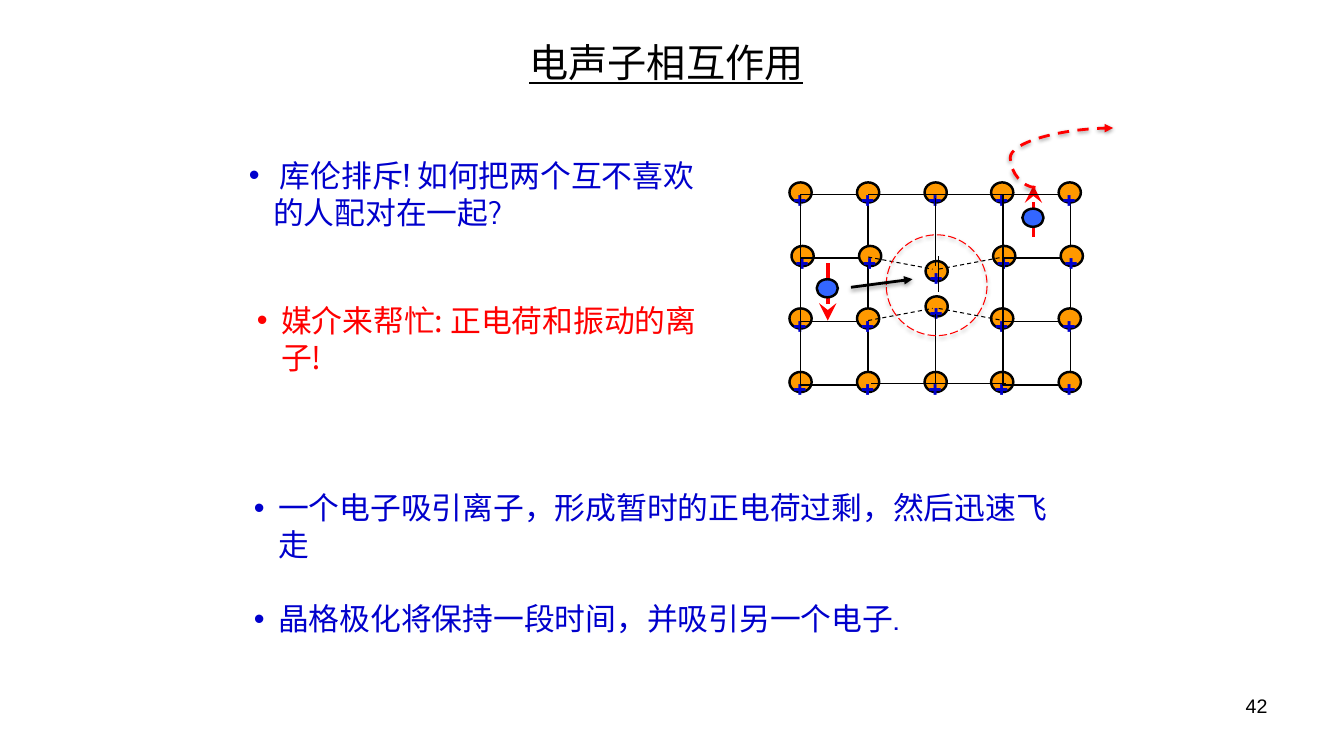
from dataclasses import dataclass
from typing import Any, Optional

from lxml.etree import SubElement
from pptx import Presentation
from pptx.dml.color import RGBColor
from pptx.enum.dml import MSO_LINE
from pptx.enum.shapes import MSO_CONNECTOR, MSO_SHAPE
from pptx.enum.text import MSO_ANCHOR, MSO_AUTO_SIZE, PP_ALIGN
from pptx.oxml.ns import qn
from pptx.util import Emu, Pt

SCALE = 9144  # EMU per px, 100 px to the inch
COLORS = {"black": "000000", "red": "FF0000", "blue": "0000CC",
          "ion": "FF9900", "charge": "3366FF"}
HAN = "Noto Sans CJK SC"
PITCH = Pt(26.4)
HANG = 24

COLS = (783, 850, 917, 983, 1050)
ROWS = (181, 244, 306, 369)
SHIFT = 2  # the second row sits slightly to the right
PULLED = {(2, 1): (918, 259), (2, 2): (918, 294)}  # ions drawn together
CELLS = {0: 794, 3: 995}  # column: left edge of the cells drawn over it
CELL = (67, 63)


@dataclass
class Note:
    box: tuple[int, int, int, int]
    color: str
    font: str
    items: tuple[str, ...]


@dataclass
class Line:
    start: tuple[int, int]
    end: tuple[int, int]
    width: float = 0.75
    color: str = "black"
    dash: Optional[MSO_LINE] = None
    head: str = ""
    size: str = "med"
    glow: bool = False
    bend: Optional[int] = None


NOTES = (
    Note((245, 291, 478, 84), "red", HAN, ("媒介来帮忙: 正电荷和振动的离子!",)),
    Note((242, 495, 829, 121), "blue", "Cabin",
         ("一个电子吸引离子，形成暂时的正电荷过剩，然后迅速飞走",
          "晶格极化将保持一段时间，并吸引另一个电子.")),
    Note((237, 147, 462, 84), "blue", "Cabin",
         (" 库伦排斥! 如何把两个互不喜欢的人配对在一起?",)),
)
SPINS = (
    Line((1025, 235), (1025, 184), 2.5, "red", head="stealth", size="lg"),
    Line((821, 261), (821, 318), 2.5, "red", head="stealth", size="lg"),
)
BONDS = (
    Line((861, 193), (995, 193)),
    Line((928, 196), (928, 264)),
    Line((861, 255), (925, 267), dash=MSO_LINE.DASH),
    Line((864, 380), (998, 380)),
    Line((861, 318), (925, 306), dash=MSO_LINE.DASH),
    Line((931, 267), (995, 255), dash=MSO_LINE.DASH),
    Line((931, 306), (995, 318), dash=MSO_LINE.DASH),
    Line((928, 312), (928, 380)),
    Line((931, 254), (931, 290)),
)
MOVES = (
    Line((844, 285), (905, 277), 2, head="triangle", glow=True),
    Line((1027, 186), (1104, 127), 2, "red", MSO_LINE.DASH, "triangle",
         glow=True, bend=-32500),
)


def px(*nums: int) -> list[Emu]:
    return [Emu(n * SCALE) for n in nums]


def rgb(name: str) -> RGBColor:
    return RGBColor.from_string(COLORS[name])


def shade(effect: Any, alpha: int, dist: float) -> None:
    """Put a soft shadow below the shape that owns the effect list."""
    outer = SubElement(effect, qn("a:outerShdw"), blurRad=str(Pt(3.1)),
                       dist=str(Pt(dist)), dir="5400000", rotWithShape="0")
    color = SubElement(outer, qn("a:srgbClr"), val=COLORS["black"])
    SubElement(color, qn("a:alpha"), val=str(alpha * 1000))


def style(para: Any, size: int, color: str, latin: str, asian: str = "") -> None:
    font = para.font
    font.size, font.name = Pt(size), latin
    font.color.rgb = rgb(color)
    if asian:
        props = para._p.get_or_add_pPr().find(qn("a:defRPr"))
        SubElement(props, qn("a:ea"), typeface=asian)


def label(shapes: Any, box: tuple[int, ...], text: str, align: PP_ALIGN,
          wrap: bool = True) -> Any:
    """Add a one-line text box and return its frame."""
    frame = shapes.add_textbox(*px(*box)).text_frame
    frame.word_wrap = wrap
    frame.text = text
    frame.paragraphs[0].alignment = align
    return frame


def outline(shapes: Any, kind: MSO_SHAPE, box: tuple[int, ...], width: float,
            fill: str = "", color: str = "black") -> Any:
    shape = shapes.add_shape(kind, *px(*box))
    shape.shadow.inherit = False
    if fill:
        shape.fill.solid()
        shape.fill.fore_color.rgb = rgb(fill)
    else:
        shape.fill.background()
    shape.line.color.rgb = rgb(color)
    shape.line.width = Pt(width)
    return shape


def draw(shapes: Any, line: Line) -> None:
    kind = MSO_CONNECTOR.STRAIGHT if line.bend is None else MSO_CONNECTOR.CURVE
    link = shapes.add_connector(kind, *px(*line.start, *line.end))
    link.line.color.rgb = rgb(line.color)
    link.line.width = Pt(line.width)
    if line.dash is not None:
        link.line.dash_style = line.dash
    props = link._element.spPr
    if line.head:
        SubElement(props.find(qn("a:ln")), qn("a:tailEnd"), type=line.head,
                   w=line.size, len=line.size)
    if line.bend is not None:
        guides = props.find(qn("a:prstGeom")).find(qn("a:avLst"))
        SubElement(guides, qn("a:gd"), name="adj1", fmla=f"val {line.bend}")
    effect = SubElement(props, qn("a:effectLst"))
    if line.glow:
        shade(effect, 38, 1.6)


def ion(shapes: Any, left: int, top: int) -> None:
    outline(shapes, MSO_SHAPE.OVAL, (left, top, 22, 20), 1.75, "ion")
    sign = label(shapes, (left - 12, top - 9, 45, 47), "+", PP_ALIGN.CENTER, False)
    style(sign.paragraphs[0], 22, "blue", "Cabin")
    sign.paragraphs[0].font.bold = True


def charge(shapes: Any, left: int, top: int) -> None:
    outline(shapes, MSO_SHAPE.OVAL, (left, top, 21, 18), 1.75, "charge")


def lattice(shapes: Any) -> None:
    for line in SPINS:
        draw(shapes, line)
    charge(shapes, 810, 277)
    for col, left in enumerate(COLS):
        for row, top in enumerate(ROWS):
            spot = (left + SHIFT * (row == 1), top)
            ion(shapes, *PULLED.get((col, row), spot))
        if col in CELLS:
            for row in range(len(ROWS) - 1):
                box = (CELLS[col], 193 + row * CELL[1], *CELL)
                outline(shapes, MSO_SHAPE.RECTANGLE, box, 1)
    for line in BONDS:
        draw(shapes, line)
    charge(shapes, 1014, 207)


def write(shapes: Any, note: Note) -> None:
    """Add a text box with one bullet per item."""
    frame = shapes.add_textbox(*px(*note.box)).text_frame
    frame.word_wrap = True
    frame.auto_size = MSO_AUTO_SIZE.SHAPE_TO_FIT_TEXT
    frame.vertical_anchor = MSO_ANCHOR.MIDDLE
    frame.margin_top = px(11)[0]
    for rank, item in enumerate(note.items):
        para = frame.add_paragraph() if rank else frame.paragraphs[0]
        para.text = item
        props = para._p.get_or_add_pPr()
        hang = px(HANG)[0]
        props.set("marL", str(hang))
        props.set("indent", str(-hang))
        SubElement(props, qn("a:buFont"), typeface="Arial")
        SubElement(props, qn("a:buChar"), char="•")
        para.line_spacing = PITCH
        if rank:
            para.space_before = PITCH
        style(para, 22, note.color, note.font, HAN)


def main() -> None:
    deck = Presentation()
    deck.slide_width, deck.slide_height = px(1333, 750)
    shapes = deck.slides.add_slide(deck.slide_layouts[6]).shapes

    page = label(shapes, (956, 683, 311, 52), "42", PP_ALIGN.RIGHT)
    style(page.paragraphs[0], 14, "black", "Arial")
    title = label(shapes, (204, 36, 914, 50), "电声子相互作用", PP_ALIGN.CENTER)
    title.vertical_anchor = MSO_ANCHOR.MIDDLE
    style(title.paragraphs[0], 28, "black", HAN, HAN)
    title.paragraphs[0].font.underline = True

    lattice(shapes.add_group_shape().shapes)
    for note in NOTES:
        write(shapes, note)
    ring = outline(shapes, MSO_SHAPE.OVAL, (879, 233, 100, 100), 0.75, color="red")
    ring.line.dash_style = MSO_LINE.LONG_DASH
    shade(ring._element.spPr.find(qn("a:effectLst")), 35, 1.8)
    for line in MOVES:
        draw(shapes, line)
    deck.save("out.pptx")


if __name__ == "__main__":
    main()
